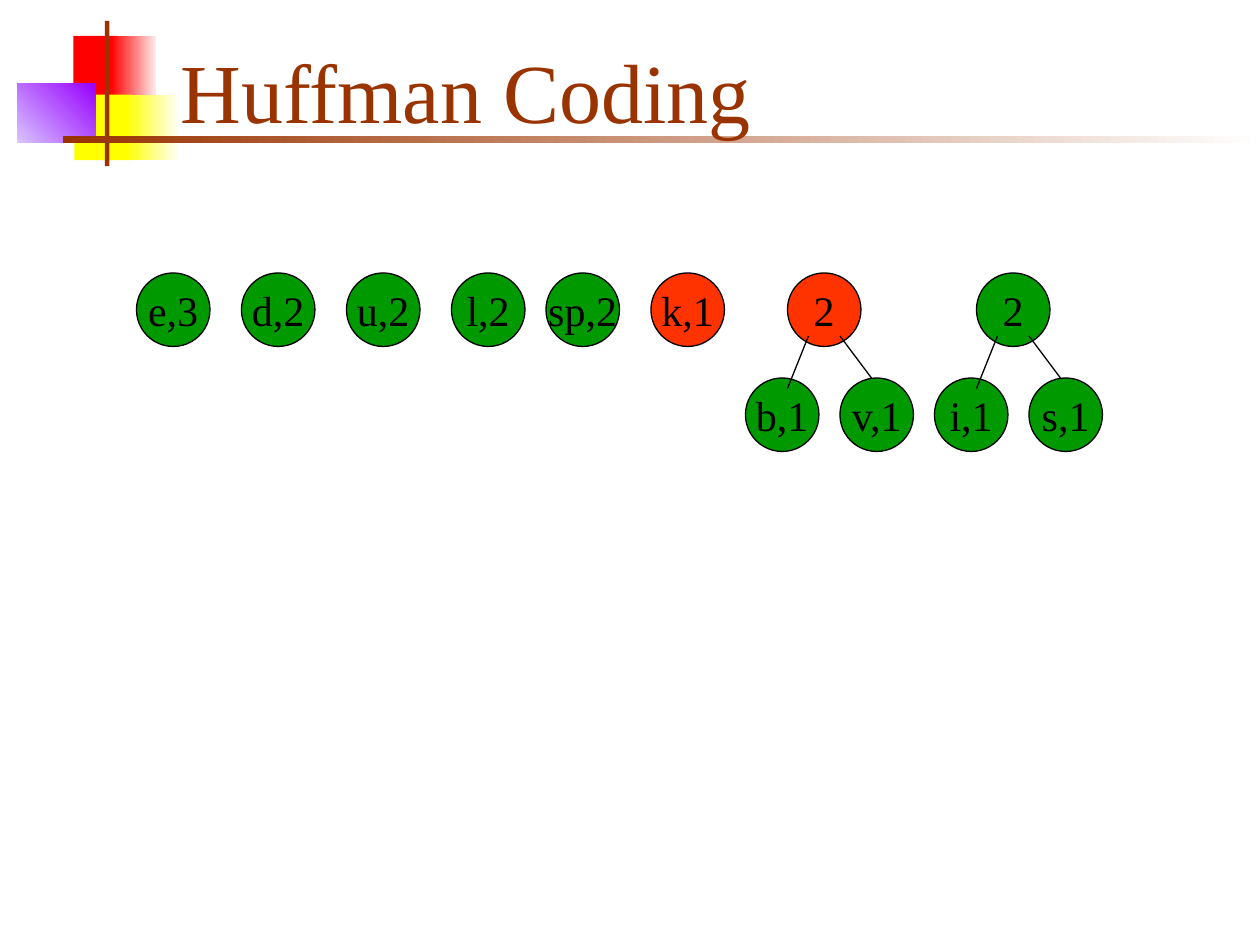
from dataclasses import dataclass

from lxml.etree import SubElement
from pptx import Presentation
from pptx.dml.color import RGBColor
from pptx.enum.shapes import MSO_CONNECTOR, MSO_SHAPE
from pptx.enum.text import MSO_ANCHOR, MSO_AUTO_SIZE, PP_ALIGN
from pptx.oxml.ns import qn
from pptx.slide import Slide
from pptx.text.text import TextFrame
from pptx.util import Pt

FONT = "Times New Roman"
GREEN, RED, BLACK, BROWN = "009900", "FF3300", "000000", "993300"
DIAMETER = 42
ROOT_TOP, LEAF_TOP = 156, 216


@dataclass(frozen=True)
class Band:
    left: float
    top: float
    width: float
    height: float
    start: str
    end: str = ""
    angle: float = 0


@dataclass(frozen=True)
class Node:
    label: str
    left: float
    top: float = ROOT_TOP
    fill: str = GREEN


@dataclass(frozen=True)
class Tree:
    root: Node
    leaves: tuple[Node, Node]


BANDS = (
    Band(42, 20.5, 25, 37.5, "FF0000"),
    Band(63.5, 20.5, 25.5, 37.5, "FF0000", "FFEAEA"),
    Band(42.5, 54, 33, 37.5, "FFFF00"),
    Band(72, 54, 29, 37.5, "FFFF00", "FFFFF0"),
    Band(10, 48, 44.5, 33.5, "D8C4FF", "9900FF", 45),
    Band(60, 12, 2.5, 83, BROWN),
    Band(36, 77.75, 684, 4, BROWN, "FFFFFF"),
)
SINGLES = (
    Node("e,3", 78),
    Node("d,2", 138),
    Node("u,2", 198),
    Node("l,2", 258),
    Node("sp,2", 312),
    Node("k,1", 372, fill=RED),
)
TREES = (
    Tree(Node("2", 450, fill=RED),
         (Node("b,1", 426, LEAF_TOP), Node("v,1", 480, LEAF_TOP))),
    Tree(Node("2", 558),
         (Node("i,1", 534, LEAF_TOP), Node("s,1", 588, LEAF_TOP))),
)


def color(value: str) -> RGBColor:
    return RGBColor.from_string(value)


def write(frame: TextFrame, text: str, size: float, ink: str, align: PP_ALIGN) -> None:
    paragraph = frame.paragraphs[0]
    paragraph.alignment = align
    run = paragraph.add_run()
    run.text = text
    run.font.name = FONT
    run.font.size = Pt(size)
    run.font.color.rgb = color(ink)


def draw_band(slide: Slide, band: Band) -> None:
    bar = slide.shapes.add_shape(
        MSO_SHAPE.RECTANGLE,
        Pt(band.left), Pt(band.top), Pt(band.width), Pt(band.height),
    )
    bar.shadow.inherit = False
    bar.line.fill.background()
    if band.end:
        bar.fill.gradient()
        bar.fill.gradient_angle = band.angle
        for stop, value in zip(bar.fill.gradient_stops, (band.start, band.end)):
            stop.color.rgb = color(value)
    else:
        bar.fill.solid()
        bar.fill.fore_color.rgb = color(band.start)


def draw_node(slide: Slide, node: Node) -> None:
    circle = slide.shapes.add_shape(
        MSO_SHAPE.OVAL, Pt(node.left), Pt(node.top), Pt(DIAMETER), Pt(DIAMETER)
    )
    circle.shadow.inherit = False
    circle.fill.solid()
    circle.fill.fore_color.rgb = color(node.fill)
    circle.line.color.rgb = color(BLACK)
    circle.line.width = Pt(0.75)
    frame = circle.text_frame
    frame.word_wrap = False
    frame.vertical_anchor = MSO_ANCHOR.MIDDLE
    write(frame, node.label, 24, BLACK, PP_ALIGN.CENTER)


def draw_edge(slide: Slide, x1: float, y1: float, x2: float, y2: float) -> None:
    edge = slide.shapes.add_connector(
        MSO_CONNECTOR.STRAIGHT, Pt(x1), Pt(y1), Pt(x2), Pt(y2)
    )
    edge.line.color.rgb = color(BLACK)
    edge.line.width = Pt(0.75)
    SubElement(edge.element.spPr, qn("a:effectLst"))


def draw_tree(slide: Slide, tree: Tree) -> None:
    for node in (*tree.leaves, tree.root):
        draw_node(slide, node)
    left, edge_top = tree.root.left, ROOT_TOP + 36
    draw_edge(slide, left + 12, edge_top, left, LEAF_TOP + 6)
    draw_edge(slide, left + 30, edge_top, left + 48, LEAF_TOP)


def draw_title(slide: Slide, text: str) -> None:
    title = slide.shapes.title
    title.left, title.top, title.width, title.height = Pt(96), Pt(18), Pt(613.5), Pt(66)
    frame = title.text_frame
    frame.word_wrap = True
    frame.auto_size = MSO_AUTO_SIZE.NONE
    frame.vertical_anchor = MSO_ANCHOR.BOTTOM
    write(frame, text, 48, BROWN, PP_ALIGN.LEFT)
    slide.shapes.element.append(title.element)


def main() -> None:
    deck = Presentation()
    deck.slide_width, deck.slide_height = Pt(720), Pt(540)
    slide = deck.slides.add_slide(deck.slide_layouts.get_by_name("Title Only"))
    for band in BANDS:
        draw_band(slide, band)
    for node in SINGLES:
        draw_node(slide, node)
    for tree in TREES:
        draw_tree(slide, tree)
    draw_title(slide, "Huffman Coding")
    deck.save("out.pptx")


if __name__ == "__main__":
    main()
